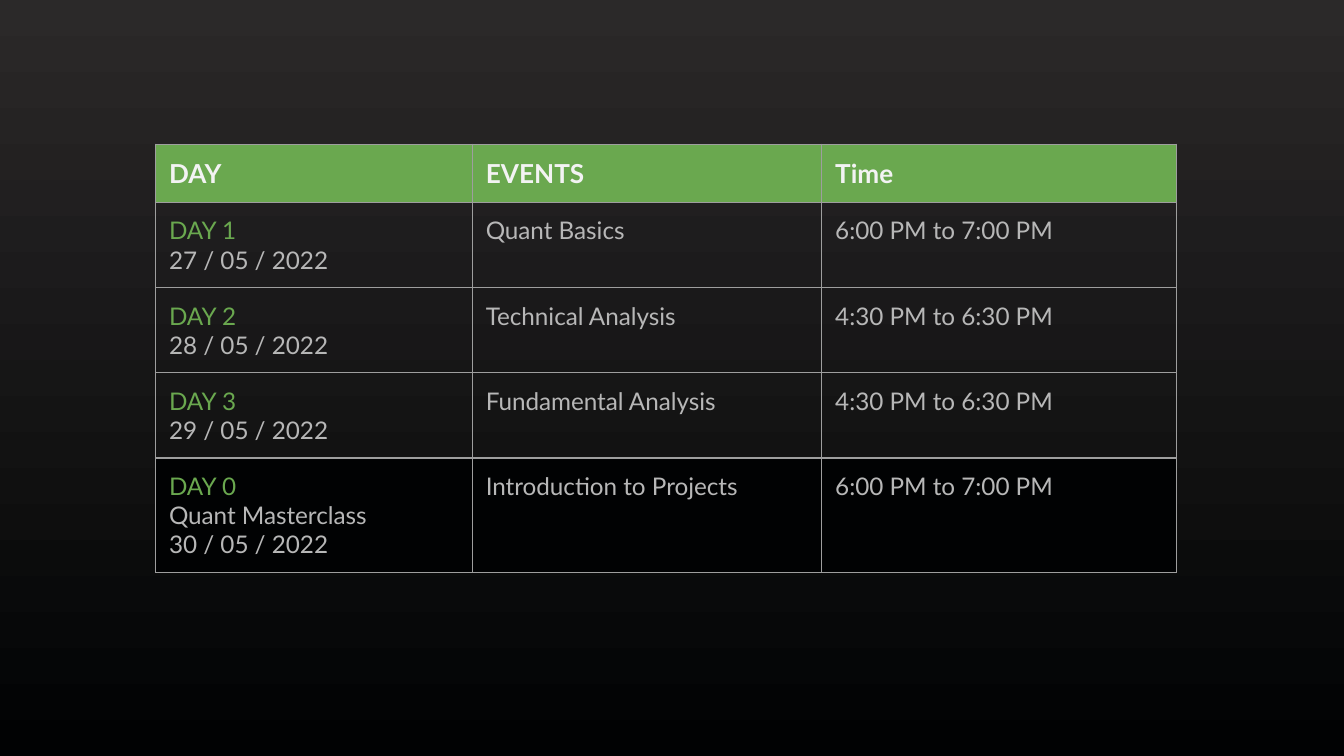
"""Build a one-slide timetable of quant events."""
from lxml import etree
from pptx import Presentation
from pptx.dml.color import RGBColor
from pptx.oxml.ns import qn
from pptx.util import Inches, Pt

FONT = "Lato"
BLANK_LAYOUT = 6
COLORS = {
    "charcoal": "2B2929",
    "black": "010203",
    "green": "6AA84F",
    "white": "F3F3F3",
    "gray": "B7B7B7",
    "border": "9E9E9E",
}
HEADINGS = ["DAY", "EVENTS", "Time"]
EVENTS = [
    ("DAY 1\n27 / 05 / 2022", "Quant Basics", "6:00 PM to 7:00 PM"),
    ("DAY 2\n28 / 05 / 2022", "Technical Analysis", "4:30 PM to 6:30 PM"),
    ("DAY 3\n29 / 05 / 2022", "Fundamental Analysis", "4:30 PM to 6:30 PM"),
    ("DAY 0\nQuant Masterclass\n30 / 05 / 2022", "Introduction to Projects", "6:00 PM to 7:00 PM"),
]
COLUMN_SHARES = [23.57, 26, 26.4]
ROW_SHARES = [7.67, 11.24, 11.24, 11.24, 15.08]


class Deck:
    """Hold the style and the current slide; lengths are percent of its size."""

    def __init__(self, width, aspect):
        self.presentation = Presentation()
        self.presentation.slide_width = Inches(width)
        self.presentation.slide_height = Inches(width / aspect)
        self.slide = self.presentation.slides.add_slide(
            self.presentation.slide_layouts[BLANK_LAYOUT])

    def color(self, name):
        return RGBColor.from_string(COLORS[name])

    def x(self, share):
        return round(self.presentation.slide_width * share / 100)

    def y(self, share):
        return round(self.presentation.slide_height * share / 100)

    def background(self, top, bottom):
        fill = self.slide.background.fill
        fill.gradient()
        fill.gradient_angle = 270
        for stop, name in zip(fill.gradient_stops, (top, bottom)):
            stop.color.rgb = self.color(name)

    def table(self, left, top, column_shares, row_shares):
        table = self.slide.shapes.add_table(
            len(row_shares), len(column_shares), self.x(left), self.y(top),
            self.x(sum(column_shares)), self.y(sum(row_shares))).table
        table.first_row = table.horz_banding = False
        for column, share in zip(table.columns, column_shares):
            column.width = self.x(share)
        for row, share in zip(table.rows, row_shares):
            row.height = self.y(share)
        return table

    def cell(self, cell, text, size, line_colors, fill=None, bold=False):
        cell.margin_left = cell.margin_right = Inches(0.1)
        cell.margin_top = cell.margin_bottom = Inches(0.1)
        cell.text_frame.text = text
        for paragraph, name in zip(cell.text_frame.paragraphs, line_colors):
            for run in paragraph.runs:
                run.font.name = FONT
                run.font.size = Pt(size)
                run.font.bold = bold
                run.font.color.rgb = self.color(name)
        self.borders(cell)
        if fill:
            cell.fill.solid()
            cell.fill.fore_color.rgb = self.color(fill)
        else:
            cell.fill.background()

    def borders(self, cell):
        properties = cell._tc.get_or_add_tcPr()
        for side in ("a:lnL", "a:lnR", "a:lnT", "a:lnB"):
            line = etree.SubElement(properties, qn(side), w=str(Pt(0.75)))
            solid = etree.SubElement(line, qn("a:solidFill"))
            etree.SubElement(solid, qn("a:srgbClr"), val=COLORS["border"])


def main():
    deck = Deck(10, 16 / 9)
    deck.background("charcoal", "black")
    timetable = deck.table(11.58, 19.07, COLUMN_SHARES, ROW_SHARES)
    for column, heading in enumerate(HEADINGS):
        deck.cell(timetable.cell(0, column), heading, 14, ["white"], "green", bold=True)
    for row, event in enumerate(EVENTS, start=1):
        fill = "black" if row == len(EVENTS) else None
        for column, text in enumerate(event):
            line_colors = ["gray"] if column else ["green", "gray", "gray"]
            deck.cell(timetable.cell(row, column), text, 13, line_colors, fill)
    deck.presentation.save("out.pptx")


if __name__ == "__main__":
    main()
